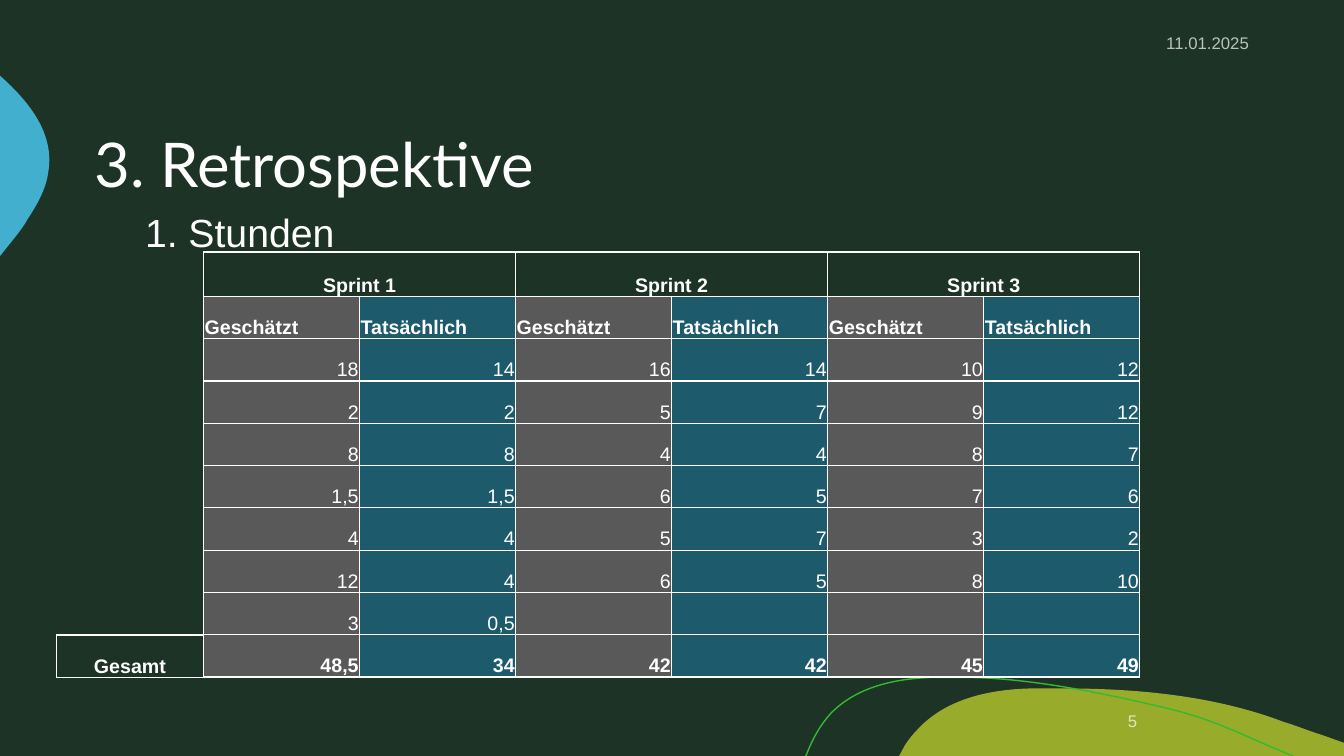
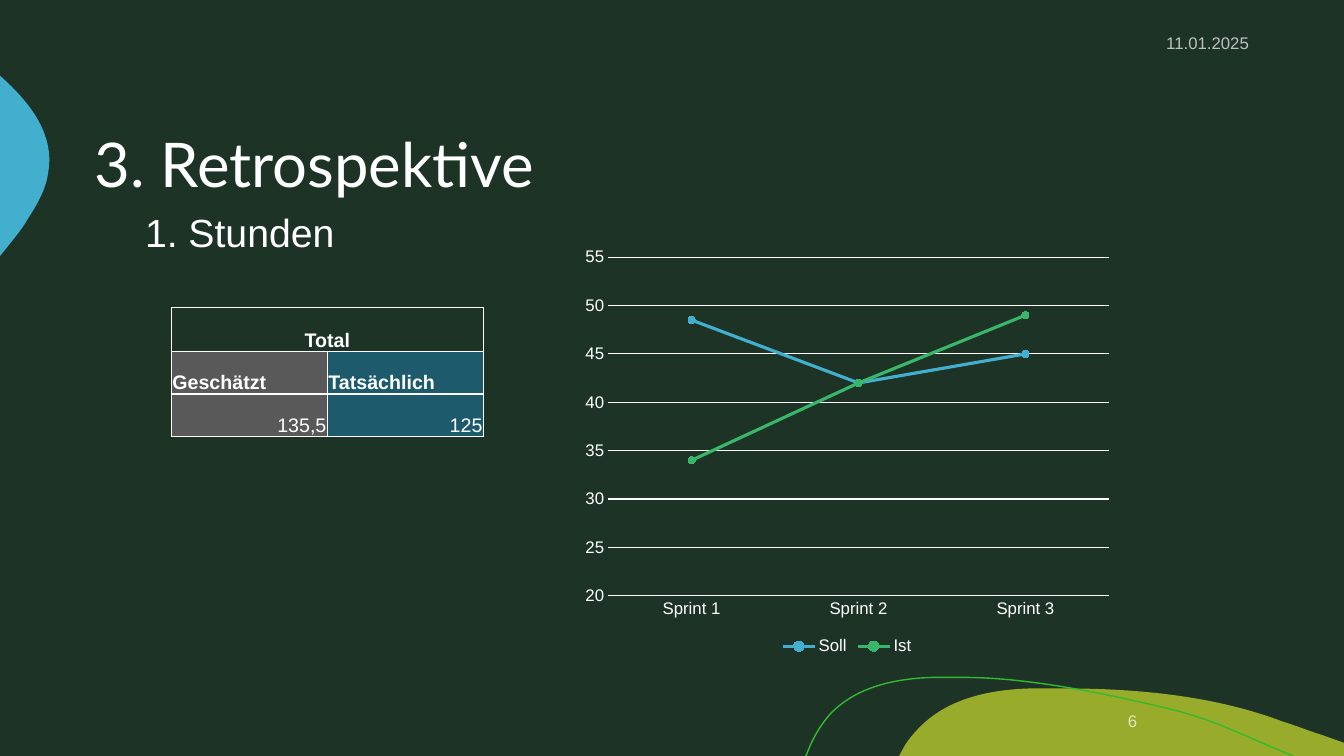
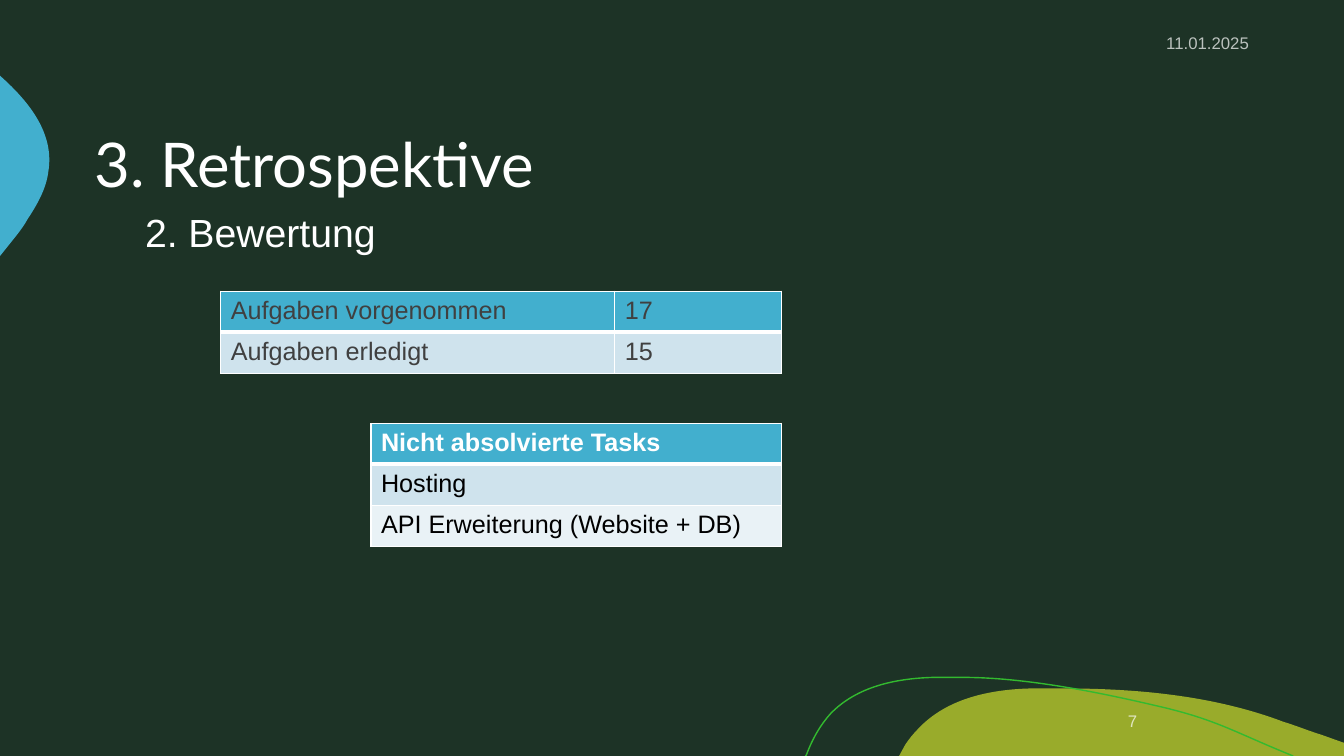
"""Build three retrospective slides with hours, a comparison chart and a task review."""
from lxml.etree import SubElement
from pptx import Presentation
from pptx.chart.data import CategoryChartData
from pptx.dml.color import RGBColor
from pptx.enum.chart import XL_CHART_TYPE as ChartType, XL_LEGEND_POSITION as LegendPosition
from pptx.enum.chart import XL_MARKER_STYLE as MarkerStyle, XL_TICK_MARK as TickMark
from pptx.enum.text import MSO_ANCHOR as Anchor, PP_ALIGN as Align
from pptx.oxml.ns import qn
from pptx.util import Inches, Pt

COLORS = {
    "background": "1D3326", "white": "FFFFFF", "black": "000000", "dark": "404040",
    "olive": "99AB2B", "blue": "42AFCE", "line": "33BA2F", "green": "3AB66A",
    "gray": "595959", "teal": "1C5A6C", "ice": "CFE3ED", "pale": "E9F2F6",
}
BODY_FONT, TITLE_FONT = "Arial", "Lato"
WIDTH, HEIGHT = 40 / 3, 7.5
TITLE, DATE, FIRST_NUMBER = "3. Retrospektive", "11.01.2025", 5
SUBTITLES = ["1. Stunden", "1. Stunden", "2. Bewertung"]

SPRINTS = ["Sprint 1", "Sprint 2", "Sprint 3"]
MEASURES = ["Geschätzt", "Tatsächlich"]
HOURS = [
    ["18", "14", "16", "14", "10", "12"],
    ["2", "2", "5", "7", "9", "12"],
    ["8", "8", "4", "4", "8", "7"],
    ["1,5", "1,5", "6", "5", "7", "6"],
    ["4", "4", "5", "7", "3", "2"],
    ["12", "4", "6", "5", "8", "10"],
    ["3", "0,5", "", "", "", ""],
]
SUMS = ["48,5", "34", "42", "42", "45", "49"]
SERIES = [("Soll", (48.5, 42, 45), "blue"), ("Ist", (34, 42, 49), "green")]
TASK_COUNTS = [["Aufgaben vorgenommen", "17"], ["Aufgaben erledigt", "15"]]
OPEN_TASKS = [["Nicht absolvierte Tasks"], ["Hosting"], ["API Erweiterung (Website + DB)"]]

HOUR_COLUMN, HOUR_ROW, HOUR_HEAD, TASK_ROW = 9.29 / 6, 0.42, 0.44, 1.22 / 3
TABLE_LEFT, TABLE_TOP = 2.02, 2.5

DECORATIONS = [
    ("olive", None, (10.54, 6.83), [
        (11.28, 6.83, 12.04, 6.9, 12.73, 7.16), (12.86, 7.2, 12.98, 7.25, 13.11, 7.29),
        (WIDTH, 7.37), (WIDTH, HEIGHT), (8.92, HEIGHT), (8.98, 7.39),
        (9.02, 7.33, 9.06, 7.28, 9.11, 7.23), (9.39, 6.93, 9.82, 6.84, 10.23, 6.83),
        (10.33, 6.83, 10.43, 6.83, 10.54, 6.83)]),
    ("blue", None, (0, 0.75), [
        (0.01, 0.76), (0.3, 1.02, 0.54, 1.33, 0.48, 1.7), (0.46, 1.87, 0.37, 2.03, 0.27, 2.18),
        (0.24, 2.24, 0.17, 2.33, 0.08, 2.44), (0, 2.54)]),
    (None, "line", (7.99, HEIGHT), [
        (8, 7.49), (8.06, 7.33, 8.14, 7.19, 8.24, 7.08), (8.5, 6.81, 8.89, 6.73, 9.26, 6.72),
        (9.55, 6.72), (10.22, 6.72, 11, 6.89, 11.55, 7.02),
        (12.09, 7.15, 12.26, 7.27, 12.83, HEIGHT)]),
]


def rgb(name):
    return RGBColor.from_string(COLORS[name])


def set_font(font, size, color="white", bold=False, name=BODY_FONT):
    font.size, font.bold, font.name = Pt(size), bold, name
    font.color.rgb = rgb(color)


def write_text(frame, text, size, color="white", bold=False, font=BODY_FONT,
               align=Align.LEFT, spacing=None, opacity=None):
    paragraph = frame.paragraphs[0]
    paragraph.alignment, paragraph.line_spacing = align, spacing
    run = paragraph.add_run()
    run.text = text
    set_font(run.font, size, color, bold, font)
    if opacity:
        for fill in run.font._element.iter(qn("a:srgbClr")):
            SubElement(fill, qn("a:alpha"), val=str(opacity * 1000))


def add_text(slide, box, text, anchor=Anchor.MIDDLE, **text_format):
    frame = slide.shapes.add_textbox(*map(Inches, box)).text_frame
    frame.word_wrap, frame.vertical_anchor = True, anchor
    write_text(frame, text, **text_format)


def bend_segments(shape, segments):
    """Turn each straight step that has control points into a cubic curve."""
    steps = list(shape._element.iter(qn("a:lnTo")))
    for step, segment in zip(steps, segments):
        if len(segment) == 2:
            continue
        step.clear()
        curve = step.makeelement(qn("a:cubicBezTo"), {})
        for x, y in zip(segment[::2], segment[1::2]):
            SubElement(curve, qn("a:pt"), x=str(Inches(x) - shape.left),
                       y=str(Inches(y) - shape.top))
        step.getparent().replace(step, curve)


def add_decoration(slide, fill, line, start, segments):
    builder = slide.shapes.build_freeform(*map(Inches, start))
    ends = [tuple(map(Inches, segment[-2:])) for segment in segments]
    builder.add_line_segments(ends, close=fill is not None)
    shape = builder.convert_to_shape()
    bend_segments(shape, segments)
    shape.shadow.inherit = False
    if fill:
        shape.fill.solid()
        shape.fill.fore_color.rgb = rgb(fill)
    else:
        shape.fill.background()
    if line:
        shape.line.color.rgb, shape.line.width = rgb(line), Pt(1)
    else:
        shape.line.fill.background()
    return shape


def decorate_master(master, slide):
    """Draw the shared shapes with a slide's builder and hand them to the master."""
    master.background.fill.solid()
    master.background.fill.fore_color.rgb = rgb("background")
    for number, decoration in enumerate(DECORATIONS, 100):
        element = add_decoration(slide, *decoration)._element
        element.nvSpPr.cNvPr.set("id", str(number))
        master.shapes._spTree.append(element)


def add_base_slide(presentation, subtitle, number):
    slide = presentation.slides.add_slide(presentation.slide_layouts[6])
    add_text(slide, (0.84, 0.83, 11.67, 1.67), TITLE, size=44, font=TITLE_FONT, spacing=0.9)
    for box, text in [((10.26, 0.22, 2.23, 0.4), DATE), ((9.71, 6.95, 1.67, 0.4), str(number))]:
        add_text(slide, box, text, size=12, align=Align.RIGHT, opacity=70)
    add_text(slide, (1.34, 2.02, 5.81, 0.57), subtitle, anchor=Anchor.TOP, size=28)
    return slide


def set_borders(cell, top=1, bottom=1):
    properties = cell._tc.get_or_add_tcPr()
    for index, (side, width) in enumerate(zip("LRTB", (1, 1, top, bottom))):
        border = properties.makeelement(qn(f"a:ln{side}"), {"w": str(Pt(width))})
        fill = SubElement(border, qn("a:solidFill"))
        SubElement(fill, qn("a:srgbClr"), val=COLORS["white"])
        properties.insert(index, border)


def add_table(slide, left, top, columns, heights, rows, style):
    """Add a table; style(row, column) returns fill, borders, compactness and text format."""
    frame = slide.shapes.add_table(len(rows), len(columns), Inches(left), Inches(top),
                                   Inches(sum(columns)), Inches(sum(heights)))
    table = frame.table
    table.first_row = table.horz_banding = False
    for column, width in zip(table.columns, columns):
        column.width = Inches(width)
    for row, height in zip(table.rows, heights):
        row.height = Inches(height)
    for row, texts in enumerate(rows):
        for column, text in enumerate(texts):
            cell = table.cell(row, column)
            fill, borders, compact, text_format = style(row, column)
            if fill:
                cell.fill.solid()
                cell.fill.fore_color.rgb = rgb(fill)
            else:
                cell.fill.background()
            if compact:
                cell.vertical_anchor = Anchor.BOTTOM
                cell.margin_left = cell.margin_right = cell.margin_top = Inches(0.01)
                cell.margin_bottom = 0
            set_borders(cell, **borders)
            if text:
                write_text(cell.text_frame, text, **text_format)
    return table


def add_hours_table(slide, left, top, groups, values, sums=None):
    headings = [text for group in groups for text in (group, "")]
    rows = [headings, MEASURES * len(groups), *values] + ([sums] if sums else [])
    heights = [HOUR_HEAD] + [HOUR_ROW] * (len(rows) - 1)

    def style(row, column):
        fill = ("gray", "teal")[column % 2] if row else None
        align = (Align.CENTER, Align.LEFT)[row] if row < 2 else Align.RIGHT
        bold = row < 2 or rows[row] is sums
        return fill, {}, True, {"size": 14, "bold": bold, "align": align}

    table = add_table(slide, left, top, [HOUR_COLUMN] * len(headings), heights, rows, style)
    for column in range(0, len(headings), 2):
        table.cell(0, column).merge(table.cell(0, column + 1))
    return sum(heights)


def add_task_table(slide, left, top, columns, rows, head, body):
    def style(row, column):
        borders = [{"bottom": 3}, {"top": 3}, {}][row]
        text_format = {"size": 18, **(body if row else head)}
        return ("blue", "ice", "pale")[row], borders, False, text_format

    add_table(slide, left, top, columns, [TASK_ROW] * len(rows), rows, style)


def add_hours_chart(slide, box):
    data = CategoryChartData()
    data.categories = SPRINTS
    for name, values, _ in SERIES:
        data.add_series(name, values)
    chart = slide.shapes.add_chart(ChartType.LINE_MARKERS, *map(Inches, box), data).chart
    chart.has_title = False
    set_font(chart.font, 10)
    chart.has_legend = True
    chart.legend.position, chart.legend.include_in_layout = LegendPosition.BOTTOM, False
    set_font(chart.legend.font, 12)
    for axis in (chart.category_axis, chart.value_axis):
        axis.major_tick_mark = axis.minor_tick_mark = TickMark.NONE
        set_font(axis.tick_labels.font, 12)
    axis = chart.value_axis
    axis.minimum_scale = 20
    axis.format.line.fill.background()
    for line in (chart.category_axis.format.line, axis.major_gridlines.format.line):
        line.color.rgb, line.width = rgb("white"), Pt(0.75)
    chart.plots[0].vary_by_categories = False
    for series, (_, _, color) in zip(chart.plots[0].series, SERIES):
        series.smooth = False
        series.format.line.color.rgb, series.format.line.width = rgb(color), Pt(2.25)
        marker = series.marker
        marker.style, marker.size = MarkerStyle.CIRCLE, 5
        marker.format.fill.solid()
        marker.format.fill.fore_color.rgb = rgb(color)
        marker.format.line.color.rgb = rgb(color)


def main():
    presentation = Presentation()
    presentation.slide_width, presentation.slide_height = Inches(WIDTH), Inches(HEIGHT)
    sprint_slide, total_slide, review_slide = [
        add_base_slide(presentation, subtitle, number)
        for number, subtitle in enumerate(SUBTITLES, FIRST_NUMBER)]
    decorate_master(presentation.slide_master, sprint_slide)

    height = add_hours_table(sprint_slide, TABLE_LEFT, TABLE_TOP, SPRINTS, HOURS, SUMS)
    label_width = 1.46
    add_table(sprint_slide, TABLE_LEFT - label_width, TABLE_TOP + height - HOUR_ROW,
              [label_width], [HOUR_ROW], [["Gesamt"]],
              lambda row, column: (None, {}, True,
                                   {"size": 14, "bold": True, "align": Align.CENTER}))

    add_hours_table(total_slide, 1.7, 3.05, ["Total"], [["135,5", "125"]])
    add_hours_chart(total_slide, (5.7, 2.38, 5.41, 4.16))

    add_task_table(review_slide, 2.19, 2.89, [3.91, 1.65], TASK_COUNTS,
                   {"color": "dark"}, {"color": "dark"})
    add_task_table(review_slide, 3.68, 4.2, [4.07], OPEN_TASKS,
                   {"bold": True}, {"color": "black"})
    presentation.save("out.pptx")


if __name__ == "__main__":
    main()
